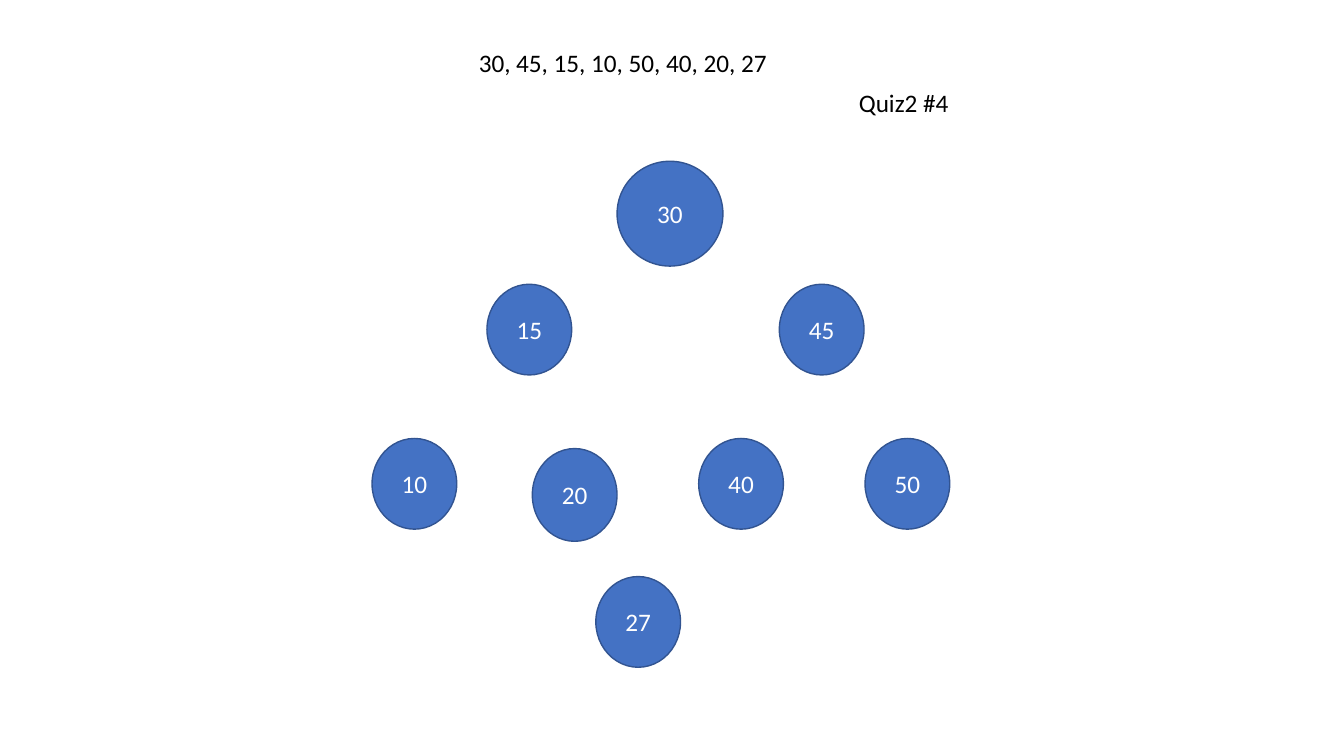
from pptx import Presentation, util as u
from pptx.dml.color import RGBColor
from pptx.enum import shapes, text

THEME = {
    "font": "Calibri", "size": 18, "outline": 1,
    "node": "4472C4", "edge": "325491", "node_text": "FFFFFF", "ink": "000000",
}
SLIDE_W, SLIDE_H = 13.33, 7.5
NODE_W, NODE_H = 0.84, 0.9

insertion_order = [30, 45, 15, 10, 50, 40, 20, 27]
labels = [
    (", ".join(map(str, insertion_order)), (4.65, 0.42, 3.08, 0.4), True),
    ("Quiz2 #4", (8.42, 0.82, 1.1, 0.71), False),
]
tree_levels = [
    (1.6, {30: 6.12}),
    (2.82, {15: 4.83, 45: 7.73}),
    (4.35, {10: 3.69, 20: 5.28, 40: 6.93, 50: 8.58}),
    (5.72, {27: 5.91}),
]
special_sizes = {30: (1.05, 1.04), 20: (NODE_W, 0.92)}
drops = {20: 0.1}


def color(key):
    return RGBColor.from_string(THEME[key])


def inches(box):
    return [u.Inches(length) for length in box]


def write(frame, words, ink, align):
    frame.text = words
    line = frame.paragraphs[0]
    line.alignment = align
    line.font.name = THEME["font"]
    line.font.size = u.Pt(THEME["size"])
    line.font.color.rgb = color(ink)


def add_node(slide, key, left, top):
    width, height = special_sizes.get(key, (NODE_W, NODE_H))
    box = inches((left, top + drops.get(key, 0), width, height))
    node = slide.shapes.add_shape(shapes.MSO_SHAPE.OVAL, *box)
    node.shadow.inherit = False
    node.fill.solid()
    node.fill.fore_color.rgb = color("node")
    node.line.color.rgb = color("edge")
    node.line.width = u.Pt(THEME["outline"])
    node.text_frame.vertical_anchor = text.MSO_ANCHOR.MIDDLE
    write(node.text_frame, str(key), "node_text", text.PP_ALIGN.CENTER)


deck = Presentation()
deck.slide_width, deck.slide_height = inches((SLIDE_W, SLIDE_H))
slide = deck.slides.add_slide(deck.slide_layouts[6])

for top, level in tree_levels:
    for key, left in level.items():
        add_node(slide, key, left, top)

for words, box, wraps in labels:
    label = slide.shapes.add_textbox(*inches(box)).text_frame
    label.word_wrap = wraps
    write(label, words, "ink", text.PP_ALIGN.LEFT)

deck.save("out.pptx")
